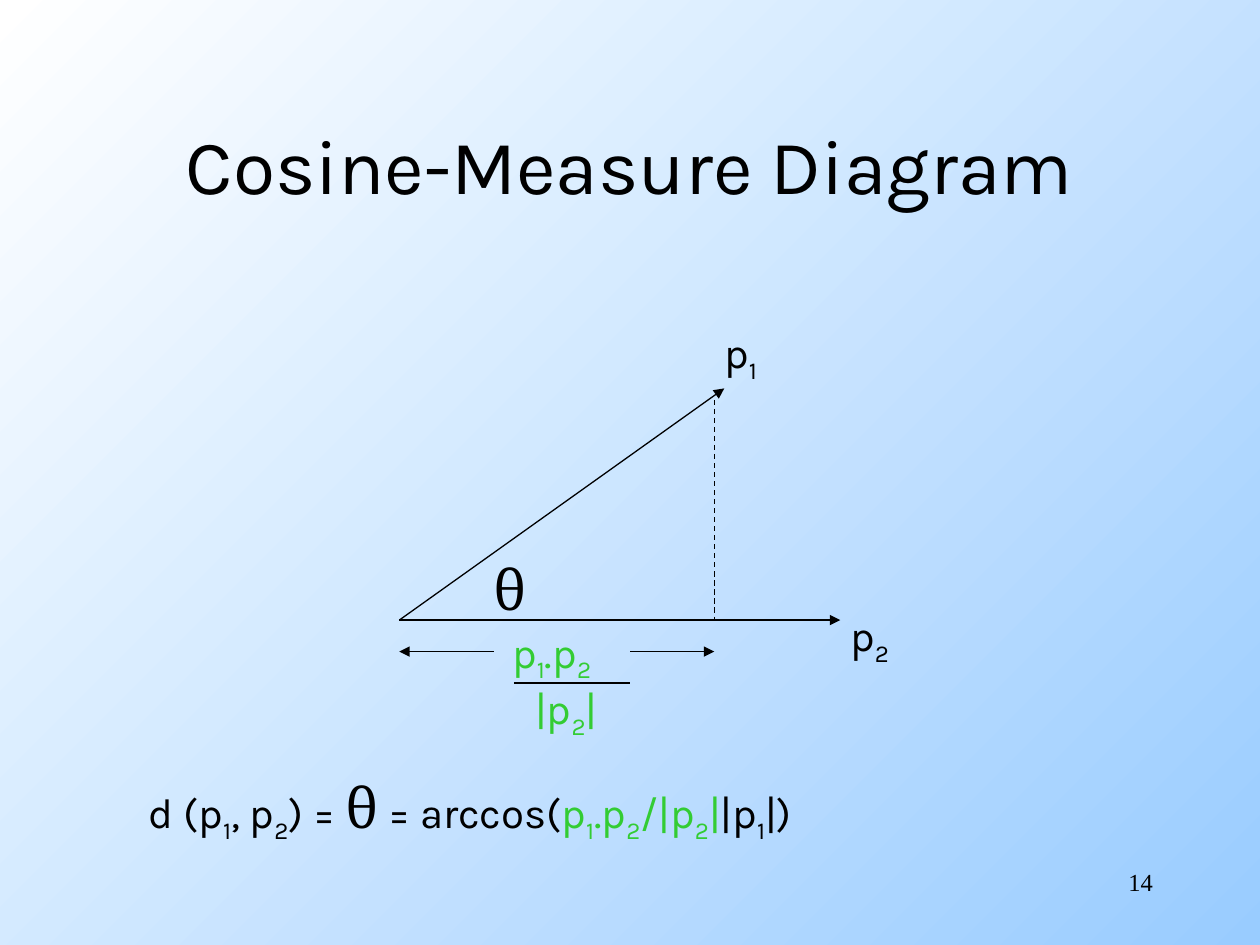
from lxml import etree
from pptx import Presentation
from pptx.dml.color import RGBColor
from pptx.enum.dml import MSO_LINE
from pptx.enum.shapes import MSO_CONNECTOR
from pptx.enum.text import MSO_ANCHOR, MSO_AUTO_SIZE, PP_ALIGN
from pptx.oxml.ns import qn
from pptx.util import Cm, Pt

STRAIGHT = MSO_CONNECTOR.STRAIGHT
DASH = MSO_LINE.DASH
MIDDLE = MSO_ANCHOR.MIDDLE
GROW = MSO_AUTO_SIZE.SHAPE_TO_FIT_TEXT
LEFT, CENTER, RIGHT = PP_ALIGN.LEFT, PP_ALIGN.CENTER, PP_ALIGN.RIGHT

COLORS = {"ink": "000000", "projection": "33CC33", "sky_start": "FFFFFF", "sky_end": "99CCFF"}
BODY, GREEK, NUMERAL = "Karla", "Cambria", "Times New Roman"


def add_text(paragraph, text, size=24, font=BODY, color="ink"):
    """Append text to a paragraph, lowering each character that follows an underscore."""
    plain, *marked = text.split("_")
    pieces = [(plain, False)]
    for part in marked:
        pieces += [(part[0], True), (part[1:], False)]
    for piece, lowered in pieces:
        if piece:
            run = paragraph.add_run()
            run.text = piece
            run.font.size = Pt(size)
            run.font.name = font
            run.font.color.rgb = RGBColor.from_string(COLORS[color])
            if lowered:
                run.font._element.set("baseline", "-25000")


def add_label(slide, box, *pieces, align=LEFT, wrap=False):
    """Place a text box whose line is made of (text, format) pieces."""
    frame = slide.shapes.add_textbox(*map(Cm, box)).text_frame
    frame.word_wrap = wrap
    if not wrap:
        frame.auto_size = GROW
    paragraph = frame.paragraphs[0]
    paragraph.alignment = align
    for text, style in pieces:
        add_text(paragraph, text, **style)


def add_line(slide, start, end, arrow=False, dash=None):
    """Draw a thin straight line, optionally dashed or with an arrowhead at its end."""
    connector = slide.shapes.add_connector(STRAIGHT, *map(Cm, (*start, *end)))
    connector.line.width = Pt(0.75)
    connector.line.color.rgb = RGBColor.from_string(COLORS["ink"])
    if dash:
        connector.line.dash_style = dash
    properties = connector._element.spPr
    if arrow:
        etree.SubElement(properties.find(qn("a:ln")), qn("a:tailEnd"), type="triangle")
    etree.SubElement(properties, qn("a:effectLst"))


def fill_background(slide):
    """Shade the slide from its top left to its bottom right corner."""
    fill = slide.background.fill
    fill.gradient()
    fill.gradient_angle = 315
    for stop, name, position in zip(fill.gradient_stops, ("sky_start", "sky_end"), (0, 1)):
        stop.color.rgb = RGBColor.from_string(COLORS[name])
        stop.position = position


def place_title(slide, box, text):
    """Move and format the title placeholder."""
    title = slide.shapes.title
    title.left, title.top, title.width, title.height = map(Cm, box)
    title.text_frame.vertical_anchor = MIDDLE
    paragraph = title.text_frame.paragraphs[0]
    paragraph.alignment = CENTER
    add_text(paragraph, text, size=44)


def draw_vectors(slide, box, foot):
    """Draw both vectors, their angle and the perpendicular dropped at the foot."""
    left, top, width, height = box
    base = top + height
    origin = (left, base)
    add_line(slide, origin, (left + 6.55, top), arrow=True)
    add_line(slide, origin, (left + width, base), arrow=True)
    add_line(slide, (left + foot, top + 0.23), (left + foot, base), dash=DASH)
    add_label(slide, (left + 6.3, top - 1.37, 1.3, 1.27), ("p_1", {}))
    add_label(slide, (left + width - 0.05, base - 0.33, 1.3, 1.27), ("p_2", {}))
    add_label(slide, (left + 1.65, base - 1.45, 1.09, 1.6), ("θ", {"size": 32, "font": GREEK}))


def draw_projection(slide, box):
    """Draw the projection's length as a fraction between two outward arrows."""
    left, top, width, height = box
    arrow_y, bar_y = top + height / 4, top + height / 2
    bar_start, bar_end = left + 2.31, left + 4.65
    green = {"color": "projection"}
    add_line(slide, (left + 1.9, arrow_y), (left, arrow_y), arrow=True)
    add_line(slide, (bar_end, arrow_y), (left + width, arrow_y), arrow=True)
    add_line(slide, (bar_start, bar_y), (bar_end, bar_y))
    add_label(slide, (left + 2.03, top, 2.31, 1.27), ("p_1.p_2", green))
    add_label(slide, (left + 2.49, bar_y - 0.13, 1.93, 1.27), ("|p_2|", green))


def write_formula(slide, box):
    """Write the distance formula with the projection highlighted."""
    add_label(
        slide, box,
        ("d (p_1, p_2) = ", {}),
        ("θ", {"size": 32, "font": GREEK}),
        (" = arccos(", {}),
        ("p_1.p_2/|p_2|", {"color": "projection"}),
        ("|p_1|)", {}),
    )


def write_page_number(slide, box, number):
    """Write the page number at the right of its box."""
    add_label(slide, box, (number, {"size": 14, "font": NUMERAL}), align=RIGHT, wrap=True)


def main():
    """Build the slide and save it."""
    presentation = Presentation()
    presentation.slide_width, presentation.slide_height = Cm(25.4), Cm(19.05)
    slide = presentation.slides.add_slide(presentation.slide_layouts[5])
    origin_x, origin_y, projection = 8.05, 12.5, 6.35
    fill_background(slide)
    place_title(slide, (1.9, 1.7, 21.6, 3.18), "Cosine-Measure Diagram")
    draw_vectors(slide, (origin_x, 7.83, 8.89, origin_y - 7.83), projection)
    draw_projection(slide, (origin_x, origin_y, projection, 2.54))
    write_formula(slide, (2.75, 15.45, 14.83, 1.6))
    write_page_number(slide, (18.2, 17.35, 5.29, 1.27), "14")
    presentation.save("out.pptx")


if __name__ == "__main__":
    main()
